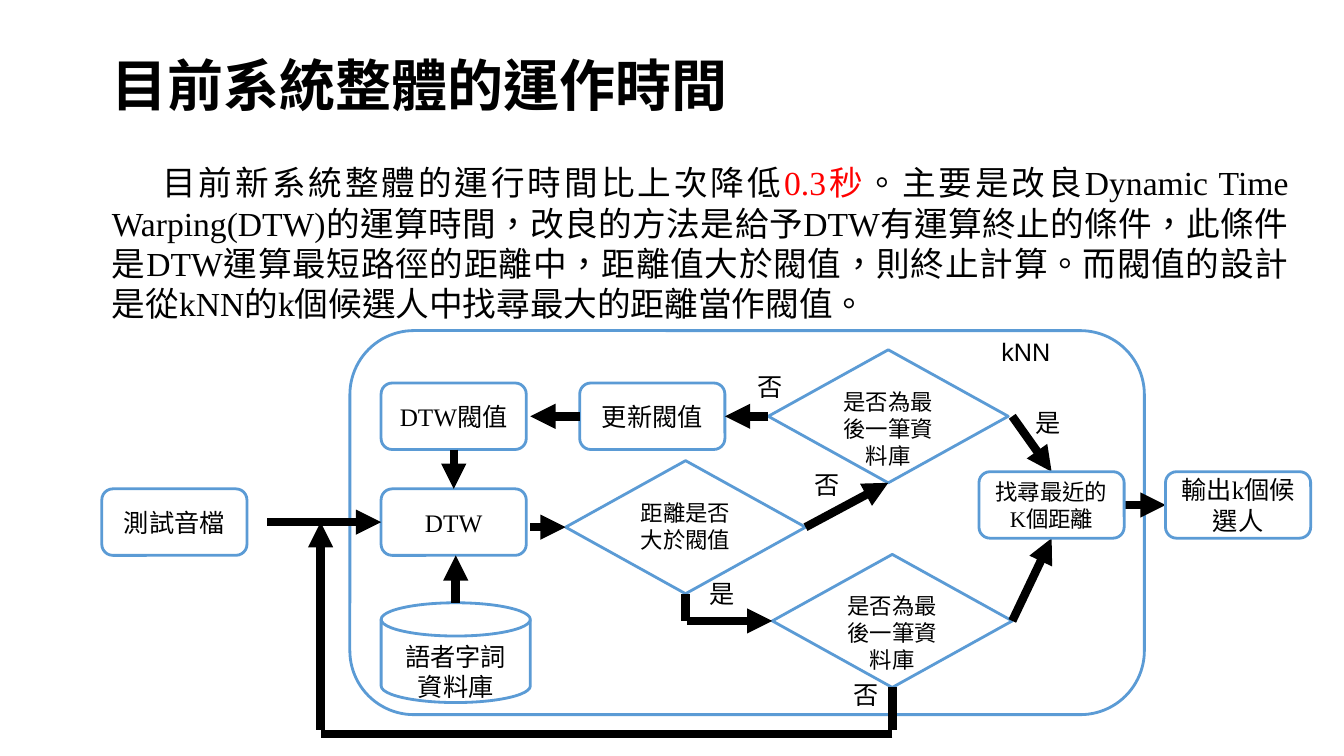
from pptx import Presentation
from pptx.dml.color import RGBColor
from pptx.enum.lang import MSO_LANGUAGE_ID
from pptx.enum.shapes import MSO_CONNECTOR, MSO_SHAPE
from pptx.enum.text import MSO_ANCHOR, MSO_AUTO_SIZE, PP_ALIGN
from pptx.oxml.ns import qn
from pptx.util import Emu, Pt
from lxml.etree import SubElement

BLACK = RGBColor(0, 0, 0)
WHITE = RGBColor(255, 255, 255)
RED = RGBColor(255, 0, 0)
BLUE = RGBColor(0x5B, 0x9B, 0xD5)
SERIF, SANS, HEAD = "Times New Roman", "Arial", "Noto Sans CJK SC"


def px(n):
    """Turn px, 100 to the inch, into EMU."""
    return Emu(n * 9144)


class Board:
    def __init__(self, deck):
        self.slide = deck.slides.add_slide(deck.slide_layouts[1])
        self.shapes = self.slide.shapes

    def run(self, para, text, size, font, color=BLACK, bold=False):
        run = para.add_run()
        run.text = text
        face = run.font
        face.size, face.name, face.bold = Pt(size), font, bold
        face.color.rgb = color
        face.language_id = MSO_LANGUAGE_ID.TRADITIONAL_CHINESE

    def setup(self, shape, anchor=MSO_ANCHOR.TOP):
        frame = shape.text_frame
        frame.word_wrap = True
        frame.auto_size = MSO_AUTO_SIZE.NONE
        frame.vertical_anchor = anchor
        return frame

    def place(self, shape, x, y, w, h):
        shape.left, shape.top = px(x), px(y)
        shape.width, shape.height = px(w), px(h)

    def title(self, text, *box):
        shape = self.shapes.title
        self.place(shape, *box)
        para = self.setup(shape).paragraphs[0]
        para.alignment = PP_ALIGN.LEFT
        self.run(para, text, 40, HEAD, bold=True)

    def body(self, parts, *box):
        shape = self.slide.placeholders[1]
        self.place(shape, *box)
        para = self.setup(shape).paragraphs[0]
        para.alignment = PP_ALIGN.JUSTIFY
        para.space_before = Pt(0)
        props = para._p.get_or_add_pPr()
        props.set("marL", "0")
        props.set("indent", str(px(50)))
        SubElement(props, qn("a:buNone"))
        for text, color in parts:
            self.run(para, text, 24, SERIF, color)

    def label(self, text, x, y, w=25, align=PP_ALIGN.LEFT):
        frame = self.setup(self.shapes.add_textbox(px(x), px(y), px(w), px(40)))
        para = frame.paragraphs[0]
        para.alignment = align
        self.run(para, text, 18, SANS)

    def shape(self, kind, x, y, w, h, lines=(), size=18, anchor=MSO_ANCHOR.TOP):
        shape = self.shapes.add_shape(kind, px(x), px(y), px(w), px(h))
        shape.shadow.inherit = False
        shape.fill.solid()
        shape.fill.fore_color.rgb = WHITE
        shape.line.color.rgb = BLUE
        shape.line.width = Pt(2)
        frame = self.setup(shape, anchor)
        for i, text in enumerate(lines):
            para = frame.add_paragraph() if i else frame.paragraphs[0]
            para.alignment = PP_ALIGN.CENTER
            self.run(para, text, size, SERIF)

    def step(self, text, x, y, size=18):
        self.shape(MSO_SHAPE.ROUNDED_RECTANGLE, x, y, 144, 66, [text], size,
                   MSO_ANCHOR.MIDDLE)

    def test(self, text, x, y):
        """Draw a decision diamond."""
        self.shape(MSO_SHAPE.DIAMOND, x, y, 238, 132, [text], 16)

    def line(self, x1, y1, x2, y2, head=True):
        line = self.shapes.add_connector(
            MSO_CONNECTOR.STRAIGHT, px(x1), px(y1), px(x2), px(y2))
        line.line.color.rgb = BLACK
        line.line.width = Pt(6)
        if head:
            SubElement(line.line._get_or_add_ln(), qn("a:tailEnd"), type="triangle")
        SubElement(line._element.spPr, qn("a:effectLst"))


def main():
    deck = Presentation()
    deck.slide_width, deck.slide_height = px(1333), px(750)
    board = Board(deck)
    board.title("目前系統整體的運作時間", 101, 45, 762, 77)
    board.body([
        ("目前新系統整體的運行時間比上次降低", BLACK),
        ("0.3秒", RED),
        ("。主要是改良Dynamic Time Warping(DTW)的運算時間，改良的方法是給予DTW有運算終止的條件，"
         "此條件是DTW運算最短路徑的距離中，距離值大於閥值，則終止計算。"
         "而閥值的設計是從kNN的k個候選人中找尋最大的距離當作閥值。", BLACK),
    ], 101, 156, 1187, 172)

    board.step("測試音檔", 101, 485)
    board.shape(MSO_SHAPE.ROUNDED_RECTANGLE, 347, 328, 788, 381)
    board.label("kNN", 953, 329, 129, PP_ALIGN.CENTER)
    board.shape(MSO_SHAPE.FLOWCHART_MAGNETIC_DISK, 378, 598, 148, 99,
                ["語者字詞", "資料庫"])
    for text, x, y in [("DTW", 378, 485), ("DTW閥值", 378, 380),
                       ("更新閥值", 575, 380)]:
        board.step(text, x, y)
    for text, x, y in [("距離是否大於閥值", 561, 457),
                       ("是否為最後一筆資料庫", 762, 347),
                       ("是否為最後一筆資料庫", 766, 550)]:
        board.test(text, x, y)

    for ends in [(452, 598, 452, 551), (265, 518, 378, 518),
                 (450, 446, 450, 485), (575, 413, 526, 413),
                 (799, 523, 881, 479), (762, 413, 719, 413),
                 (526, 523, 561, 523), (318, 724, 318, 518),
                 (681, 616, 766, 616), (1004, 501, 1156, 501),
                 (1004, 413, 1043, 468), (1004, 616, 1043, 534)]:
        board.line(*ends)
    for ends in [(885, 682, 885, 724), (885, 728, 318, 728),
                 (680, 589, 680, 616)]:
        board.line(*ends, head=False)

    board.step("輸出k個候選人", 1156, 468)
    board.step("找尋最近的K個距離", 971, 468, 16)
    for text, x, y in [("是", 694, 569), ("否", 798, 461), ("否", 837, 669),
                       ("否", 741, 363), ("是", 1017, 399)]:
        board.label(text, x, y)
    deck.save("out.pptx")


if __name__ == "__main__":
    main()
